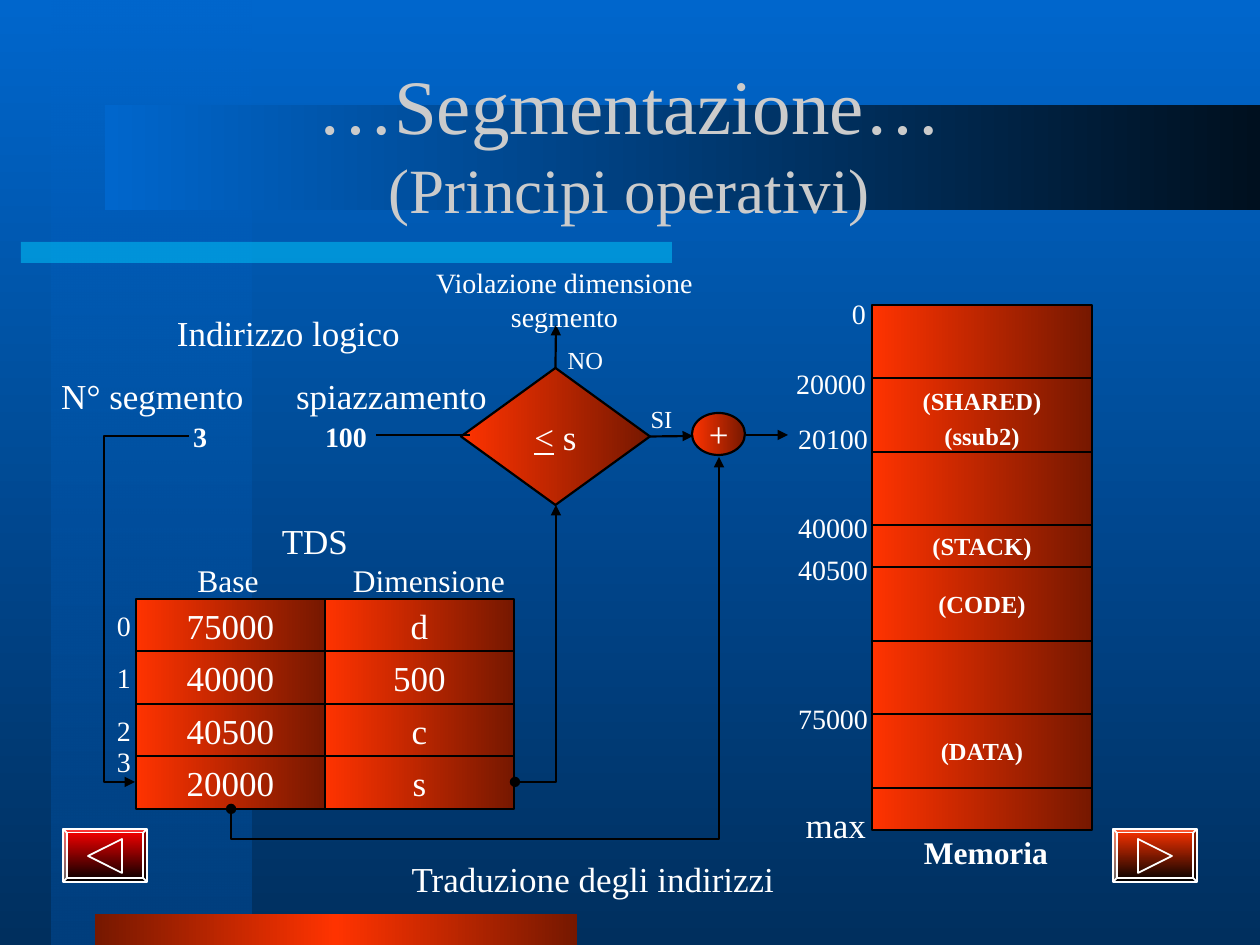
from copy import deepcopy
from itertools import pairwise
from lxml.etree import SubElement
from pptx import Presentation
from pptx.dml.color import RGBColor
from pptx.enum.shapes import MSO_CONNECTOR, MSO_SHAPE
from pptx.enum.text import MSO_ANCHOR, MSO_AUTO_SIZE, PP_ALIGN
from pptx.oxml.ns import qn
from pptx.util import Pt

PX = 7257  # EMU in one px, 126 px to the inch
FONT = "Times New Roman"
COLORS = {"blue": "0066CC", "navy": "002F5E", "band": "003F7E", "night": "00101F",
          "cyan": "00CCFF", "orange": "FF3300", "brown": "761800", "red": "FF0000",
          "black": "000000", "white": "FFFFFF", "title": "CBCBCB"}
RGB = {name: RGBColor.from_string(value) for name, value in COLORS.items()}
DOWN = 270
CENTER, RIGHT = PP_ALIGN.CENTER, PP_ALIGN.RIGHT


def blend(fill, first, last, angle=0):
    fill.gradient()
    fill.gradient_angle = angle
    for stop, name in zip(fill.gradient_stops, (first, last)):
        stop.color.rgb = RGB[name]


def write(shape, lines, size, bold=False, align=CENTER, wrap=False):
    """Write lines, each a list of runs, into the middle of a shape."""
    frame = shape.text_frame
    frame.word_wrap = wrap
    frame.vertical_anchor = MSO_ANCHOR.MIDDLE
    frame.margin_left = frame.margin_right = 6 * PX
    frame.margin_top = frame.margin_bottom = 6 * PX
    for index, runs in enumerate(lines):
        para = frame.add_paragraph() if index else frame.paragraphs[0]
        para.alignment = align
        for text in runs:
            span = para.add_run()
            span.text = text
            span.font.name = FONT
            span.font.size = Pt(size)
            span.font.bold = bold
            span.font.color.rgb = RGB["white"]


deck = Presentation()
deck.slide_width, deck.slide_height = 1260 * PX, 945 * PX
page = deck.slides.add_slide(deck.slide_layouts[5])
shapes = page.shapes
blend(page.background.fill, "blue", "navy", DOWN)

# Decorative bars
bars = []
for at, first, last, angle in [
    ((52, 0, 200, 945), "blue", "band", DOWN),
    ((21, 242, 651, 21), "cyan", "cyan", 0),
    ((95, 914, 482, 31), "brown", "brown", 0),
    ((105, 105, 1155, 105), "blue", "night", 0),
]:
    bar = shapes.add_shape(MSO_SHAPE.RECTANGLE, *[n * PX for n in at])
    bar.shadow.inherit = False
    bar.line.fill.background()
    blend(bar.fill, first, last, angle)
    bars.append(bar)
side_bar, cyan_bar, bottom_bar, _ = bars
cyan_bar.fill.solid()
cyan_bar.fill.fore_color.rgb = RGB["cyan"]
for bar in (side_bar, cyan_bar):
    color = bar._element.spPr.find(".//" + qn("a:srgbClr"))
    SubElement(color, qn("a:alpha")).set("val", "50000")
stops = bottom_bar._element.spPr.find(".//" + qn("a:gsLst"))
middle = deepcopy(stops[0])
middle.set("pos", "50000")
middle[0].set("val", COLORS["orange"])
stops.insert(1, middle)

# Title, in front of the bars
title = shapes.title
shapes._spTree.append(title._element)
title.left, title.top, title.width, title.height = [n * PX for n in (94, 63, 1071, 158)]
frame = title.text_frame
frame.auto_size = MSO_AUTO_SIZE.NONE
frame.vertical_anchor = MSO_ANCHOR.MIDDLE
for index, (text, size) in enumerate([("…Segmentazione…", 44), ("(Principi operativi)", 36)]):
    para = frame.add_paragraph() if index else frame.paragraphs[0]
    para.alignment = CENTER
    span = para.add_run()
    span.text = text
    span.font.name = FONT
    span.font.size = Pt(size)
    span.font.color.rgb = RGB["title"]

# Navigation buttons: base side and tip of each triangle
for left, top_color, base, tip in [(63, "red", 122, 88), (1113, "orange", 1138, 1172)]:
    button = shapes.add_shape(MSO_SHAPE.BEVEL, left * PX, 829 * PX, 84 * PX, 53 * PX)
    button.adjustments[0] = 0.07
    blend(button.fill, top_color, "black", DOWN)
    builder = shapes.build_freeform(base, 839, scale=PX)
    builder.add_line_segments([(tip, 856), (base, 873)])
    triangle = builder.convert_to_shape()
    triangle.fill.background()
    for part in (button, triangle):
        part.shadow.inherit = False
        part.line.color.rgb = RGB["white"]
        part.line.width = Pt(1)

# Orange blocks: segment table, test, adder, memory
blocks = []
segments = [("75000", "d"), ("40000", "500"), ("40500", "c"), ("20000", "s")]
for column in range(2):
    for row, segment in enumerate(segments):
        at = (136 + 189 * column, 599 + row * 105 // 2, 189, 53)
        blocks.append((MSO_SHAPE.RECTANGLE, at, [[segment[column]]], 20, False, 1.25))
blocks.append((MSO_SHAPE.DIAMOND, (461, 368, 189, 137), [["<", " s"]], 20, False, 1.25))
blocks.append((MSO_SHAPE.OVAL, (692, 413, 53, 42), [["+"]], 20, False, 1.25))
edges = [305, 378, 452, 525, 567, 641, 714, 788, 830]
contents = [[], [["(SHARED)"], ["(ssub2)"]], [], [["(STACK)"]], [["(CODE)"]], [], [["(DATA)"]], []]
for (top, bottom), lines in zip(pairwise(edges), contents):
    at = (872, top, 220, bottom - top)
    blocks.append((MSO_SHAPE.RECTANGLE, at, lines, 14, True, 1.5))
for kind, at, lines, size, bold, weight in blocks:
    block = shapes.add_shape(kind, *[n * PX for n in at])
    block.shadow.inherit = False
    blend(block.fill, "orange", "brown")
    block.line.color.rgb = RGB["black"]
    block.line.width = Pt(weight)
    write(block, lines, size, bold)
    if kind == MSO_SHAPE.DIAMOND:
        test = block
        block.text_frame.paragraphs[0].runs[0].font.underline = True
    elif kind == MSO_SHAPE.OVAL:
        block.text_frame.paragraphs[0].runs[0].font.italic = True
    elif len(lines) == 2:
        for para in block.text_frame.paragraphs:
            para.line_spacing = 1.2

# Arrows: ends, arrowheads, side of the test joined, elbow preset, bend, rotation
for ends, head, tail, side, preset, bend, turn in [
    ((650, 436, 693, 436), None, "triangle", 3, None, None, 0),
    ((746, 435, 788, 435), None, "triangle", None, None, None, 0),
    ((556, 368, 556, 325), None, "triangle", 0, None, None, 0),
    ((376, 435, 470, 435), None, None, None, None, None, 0),
    ((515, 782, 556, 505), "oval", "triangle", None, "bentConnector2", None, 0),
    ((651, 877, 299, 389), "oval", "triangle", None, "bentConnector3", -8600, 90),
    ((135, 782, 189, 436), "triangle", None, None, "bentConnector3", -56700, 0),
]:
    kind = MSO_CONNECTOR.ELBOW if preset else MSO_CONNECTOR.STRAIGHT
    arrow = shapes.add_connector(kind, *[n * PX for n in ends])
    arrow.line.color.rgb = RGB["black"]
    arrow.line.width = Pt(1.25)
    if side is not None:
        arrow.begin_connect(test, side)
    properties = arrow._element.spPr
    outline = properties.find(qn("a:ln"))
    for tag, style in (("a:headEnd", head), ("a:tailEnd", tail)):
        if style:
            SubElement(outline, qn(tag)).set("type", style)
    SubElement(properties, qn("a:effectLst"))
    geometry = properties.find(qn("a:prstGeom"))
    if preset:
        geometry.set("prst", preset)
    if bend:
        guide = SubElement(geometry.find(qn("a:avLst")), qn("a:gd"))
        guide.set("name", "adj1")
        guide.set("fmla", f"val {bend}")
    if turn:
        properties.find(qn("a:xfrm")).set("rot", str(turn * 60000))

# Labels
labels = [
    ("Indirizzo logico", (126, 305, 325, 54), 20, False, CENTER),
    ("spiazzamento", (229, 368, 325, 54), 20, False, CENTER),
    ("N° segmento", (-10, 368, 325, 54), 20, False, CENTER),
    ("3", (178, 410, 44, 53), 16, True, CENTER),
    ("100", (304, 410, 84, 53), 16, True, CENTER),
    ("NO", (533, 339, 105, 42), 14, False, CENTER),
    ("SI", (609, 398, 105, 42), 14, False, CENTER),
    ("Violazione dimensione segmento", (402, 259, 325, 80), 16, False, CENTER),
    ("TDS", (252, 513, 126, 54), 20, False, CENTER),
    ("Base", (158, 556, 140, 48), 18, False, CENTER),
    ("Dimensione", (340, 556, 178, 48), 18, False, CENTER),
    ("Memoria", (885, 827, 202, 50), 18, True, CENTER),
    ("Traduzione degli indirizzi", (294, 851, 598, 54), 20, False, CENTER),
    ("max", (788, 798, 84, 53), 20, False, RIGHT),
]
for text, left, top in [("0", 788, 287), ("20000", 788, 357), ("20100", 790, 412),
                        ("40000", 790, 501), ("40500", 790, 543), ("75000", 790, 692),
                        ("0", 53, 599), ("1", 53, 651), ("2", 53, 704), ("3", 53, 735)]:
    labels.append((text, (left, top, 84, 53), 16, False, RIGHT))
for text, at, size, bold, align in labels:
    box = shapes.add_textbox(*[n * PX for n in at])
    write(box, [[text]], size, bold, align, wrap=at[2] > 100)

deck.save("out.pptx")
